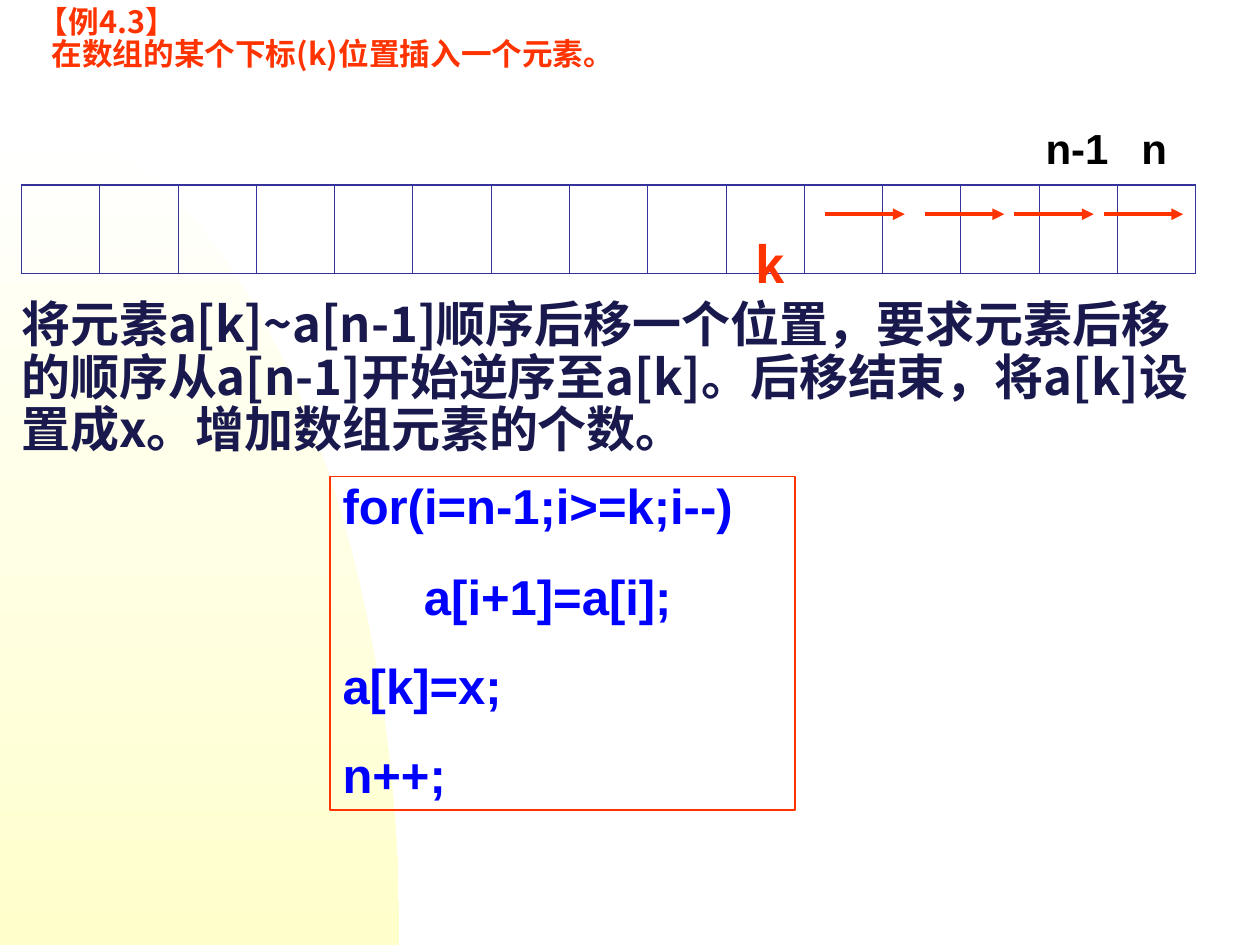
from math import cos, pi, sin

from pptx import Presentation
from pptx.dml.color import RGBColor
from pptx.enum.shapes import MSO_CONNECTOR as CONNECTOR, MSO_SHAPE as SHAPE
from pptx.enum.text import MSO_ANCHOR as ANCHOR, PP_ALIGN as ALIGN
from pptx.oxml.ns import qn
from pptx.util import Inches, Pt
from lxml.etree import SubElement

COLORS = {
    "red": "FF3300",
    "navy": "19194D",
    "grid": "333399",
    "black": "010000",
    "code": "0000FF",
    "white": "FFFFFF",
    "cream": "FFFFCC",
}
SANS, CJK = "Arial", "Noto Sans CJK SC"


def rgb(name):
    return RGBColor.from_string(COLORS[name])


def write(frame, lines, size, font, color, spacing=1.0, gap=0):
    """Fill a text frame with bold lines, with a gap before all but the first."""
    frame.vertical_anchor = ANCHOR.TOP
    for index, line in enumerate(lines):
        paragraph = frame.add_paragraph() if index else frame.paragraphs[0]
        paragraph.alignment = ALIGN.LEFT
        paragraph.line_spacing = spacing
        paragraph.space_before = Pt(gap if index else 0)
        run = paragraph.add_run()
        run.text = line
        run.font.size, run.font.bold, run.font.name = Pt(size), True, font
        run.font.color.rgb = rgb(color)
        SubElement(run.font._element, qn("a:ea"), typeface=font)


def add_text(slide, box, line, size, font, color, wrap=False, spacing=1.0):
    frame = slide.shapes.add_textbox(*map(Inches, box)).text_frame
    frame.word_wrap = wrap
    write(frame, [line], size, font, color, spacing)


def add_backdrop(slide, left, top, width, height, steps=60):
    """Quarter ellipse centred on the lower left corner."""
    bottom = top + height
    curve = [
        (Inches(left + width * sin(step / steps * pi / 2)),
         Inches(bottom - height * cos(step / steps * pi / 2)))
        for step in range(steps + 1)
    ]
    builder = slide.shapes.build_freeform(*curve[0])
    builder.add_line_segments(
        curve[1:] + [(Inches(left), Inches(bottom))], close=True)
    backdrop = builder.convert_to_shape()
    backdrop.shadow.inherit = False
    backdrop.line.fill.background()
    backdrop.fill.gradient()
    backdrop.fill.gradient_angle = 270
    for stop, position, color in zip(
            backdrop.fill.gradient_stops, (0, 1), ("white", "cream")):
        stop.position = position
        stop.color.rgb = rgb(color)


def add_border(cell, side, points):
    border = SubElement(
        cell._tc.get_or_add_tcPr(), qn(f"a:{side}"), w=str(Pt(points)))
    fill = SubElement(border, qn("a:solidFill"))
    SubElement(fill, qn("a:srgbClr"), val=COLORS["grid"])


def add_array(slide, left, top, width, height, count):
    array = slide.shapes.add_table(
        1, count, *map(Inches, (left, top, width, height))).table
    array.first_row = array.horz_banding = False
    for index in range(count):
        array.columns[index].width = Inches(width / count)
        cell = array.cell(0, index)
        outer, inner = 1.08, 0.45
        add_border(cell, "lnL", inner if index else outer)
        add_border(cell, "lnR", inner if index < count - 1 else outer)
        add_border(cell, "lnT", outer)
        add_border(cell, "lnB", outer)
        cell.fill.background()


def add_arrow(slide, left, y, length):
    arrow = slide.shapes.add_connector(
        CONNECTOR.STRAIGHT, *map(Inches, (left, y, left + length, y)))
    arrow.line.color.rgb = rgb("red")
    arrow.line.width = Pt(2.25)
    SubElement(arrow.line._get_or_add_ln(), qn("a:tailEnd"), type="triangle")
    SubElement(arrow._element.spPr, qn("a:effectLst"))


def add_code(slide, box, lines):
    panel = slide.shapes.add_shape(SHAPE.RECTANGLE, *map(Inches, box))
    panel.shadow.inherit = False
    panel.fill.background()
    panel.line.color.rgb = rgb("red")
    panel.line.width = Pt(0.75)
    panel.text_frame.word_wrap = True
    write(panel.text_frame, lines, 28, SANS, "code", gap=17.5)
    panel.text_frame.paragraphs[0].line_spacing = 0.9


def add_heading(slide, box, lines):
    title = slide.shapes.title
    title.left, title.top, title.width, title.height = map(Inches, box)
    write(title.text_frame, lines, 17.5, CJK, "red", spacing=0.7, gap=4)
    # Indent the line below the example number
    properties = title.text_frame.paragraphs[1]._p.get_or_add_pPr()
    properties.set("marL", str(Inches(0.11)))


def main():
    prs = Presentation()
    prs.slide_width, prs.slide_height = Inches(10), Inches(7.5)
    slide = prs.slides.add_slide(prs.slide_layouts[5])

    add_backdrop(slide, 0, 0.92, 3.17, 6.58)
    add_heading(slide, (0.2, 0.05, 9.45, 0.87),
                ["【例4.3】", "在数组的某个下标(k)位置插入一个元素。"])

    # Explanation of the insertion
    add_text(
        slide, (0.07, 2.33, 9.65, 1.4),
        "将元素a[k]~a[n-1]顺序后移一个位置，要求元素后移的顺序从a[n-1]开始逆序至a[k]。"
        "后移结束，将a[k]设置成x。增加数组元素的个数。",
        28, CJK, "navy", wrap=True, spacing=0.9)

    # Array with its index labels and shift arrows
    add_array(slide, 0.17, 1.47, 9.32, 0.7, 15)
    add_text(slide, (5.9, 1.81, 0.44, 0.66), "k", 28, CJK, "red")
    add_text(slide, (8.2, 0.92, 0.7, 0.5), "n-1", 24, SANS, "black")
    add_text(slide, (8.96, 0.92, 0.4, 0.5), "n", 24, SANS, "black")
    for left in (6.55, 7.34, 8.05, 8.76):
        add_arrow(slide, left, 1.7, 0.63)

    # Insertion code
    add_code(slide, (2.62, 3.78, 3.69, 2.65),
             ["for(i=n-1;i>=k;i--)", "      a[i+1]=a[i];", "a[k]=x;", "n++;"])

    prs.save("out.pptx")


if __name__ == "__main__":
    main()
